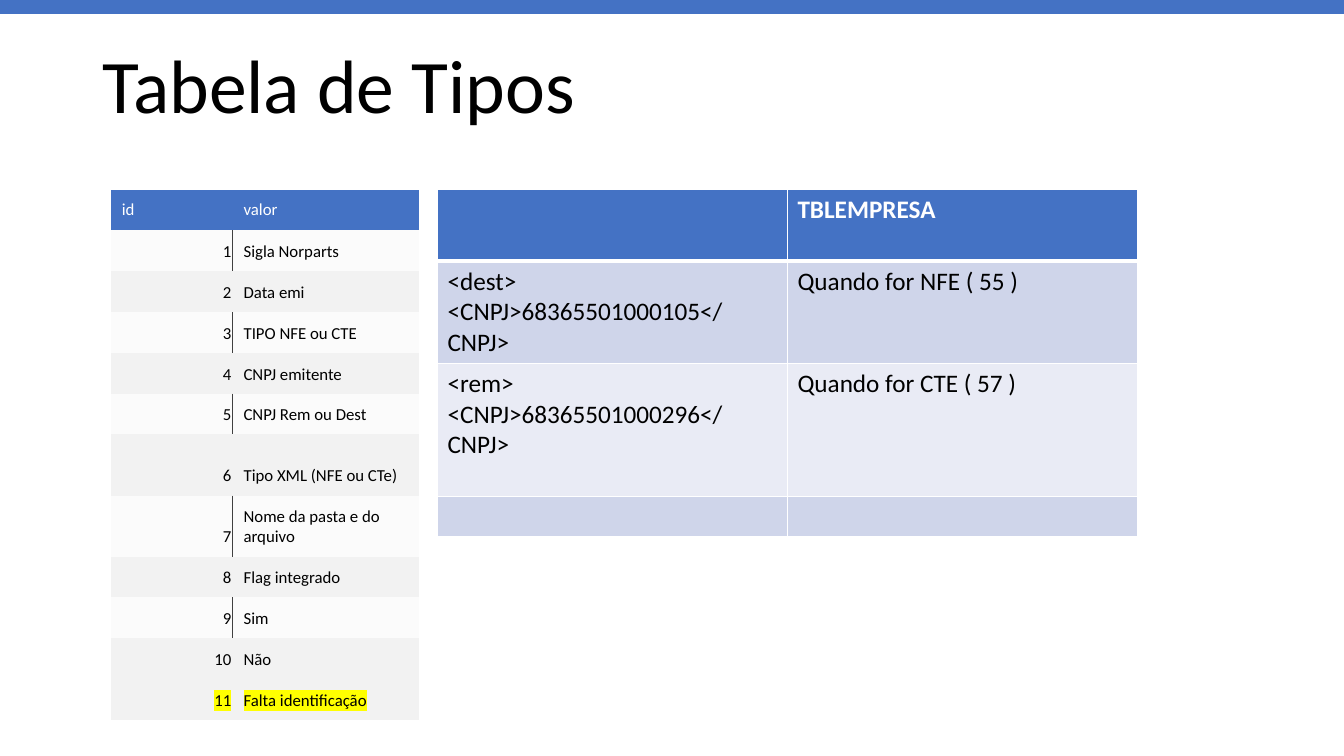
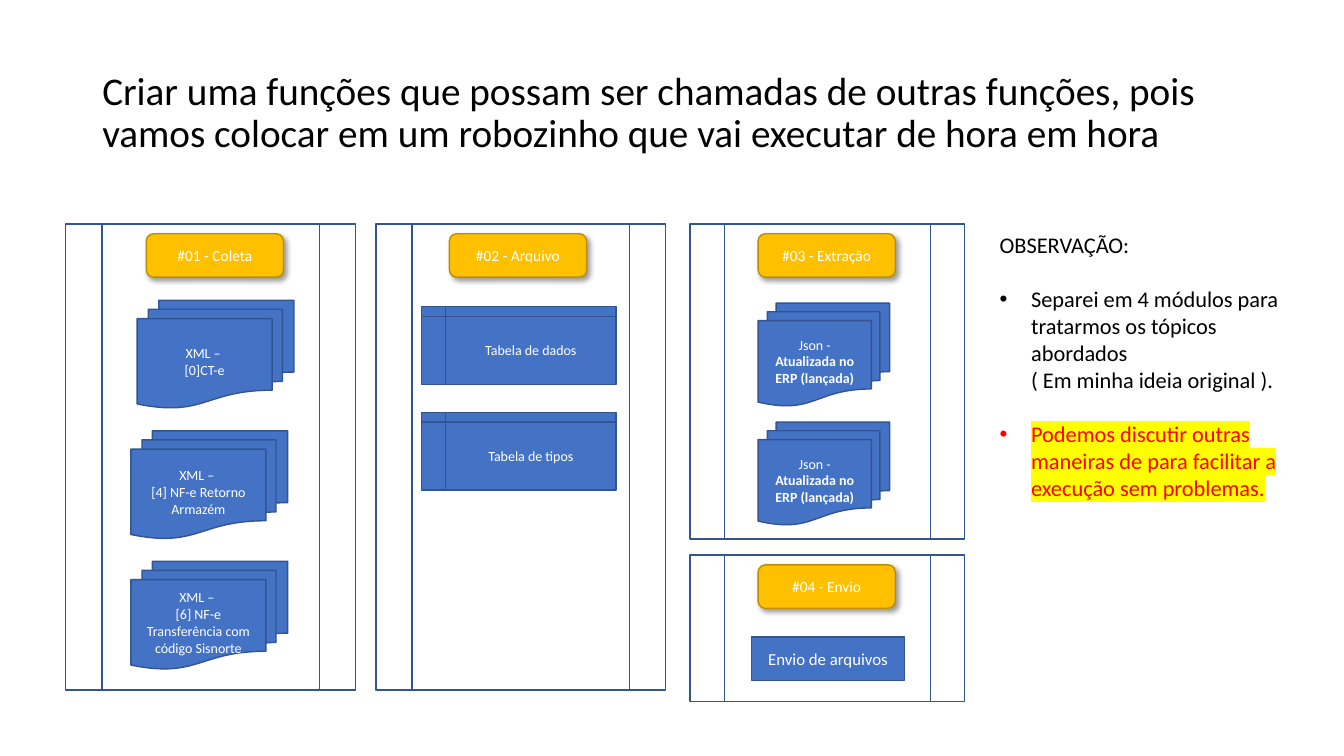
"""Build the type table and the module flow slides."""
from dataclasses import dataclass
from typing import Any, Optional

from lxml import etree
from pptx import Presentation
from pptx import util as u
from pptx.dml.color import RGBColor
from pptx.enum import shapes, text
from pptx.oxml.ns import qn

FONT = "Calibri"
BLUE = RGBColor(0x44, 0x72, 0xC4)
NAVY = RGBColor(0x32, 0x54, 0x91)
GOLD = RGBColor(0xFF, 0xC0, 0x00)
BRONZE = RGBColor(0xBD, 0x8E, 0x00)
WHITE = RGBColor(0xFF, 0xFF, 0xFF)
BLACK = RGBColor(0, 0, 0)
RED = RGBColor(0xFF, 0, 0)
YELLOW = RGBColor(0xFF, 0xFF, 0)
GRAY = RGBColor(0x40, 0x40, 0x40)
BANDS = (RGBColor(0xF2, 0xF2, 0xF2), RGBColor(0xFB, 0xFB, 0xFB))
TINTS = (RGBColor(0xE9, 0xEB, 0xF5), RGBColor(0xCF, 0xD5, 0xEA))
NO_STYLE = "{2D5ABB26-0587-4C30-8999-92F81FD0307C}"

MSO = shapes.MSO_SHAPE
ALIGN = text.PP_ALIGN
ANCHOR = text.MSO_ANCHOR
Rect = tuple[float, float, float, float]


@dataclass(frozen=True)
class Module:
    title: str
    rect: Rect
    badge_left: float


@dataclass(frozen=True)
class Step:
    kind: Any
    rect: Rect
    lines: tuple[str, ...]
    bold_tail: str = ""
    size: float = 10


TYPES = ("Sigla Norparts", "Data emi", "TIPO NFE ou CTE", "CNPJ emitente",
         "CNPJ Rem ou Dest", "Tipo XML (NFE ou CTe)",
         "Nome da pasta e do arquivo", "Flag integrado", "Sim", "Não",
         "Falta identificação")
TALL_ROWS = (6, 7)

COMPANY_ROWS = (
    (("",), ("TBLEMPRESA",)),
    (("<dest>", "<CNPJ>68365501000105</CNPJ>"), ("Quando for NFE ( 55 )",)),
    (("<rem>", "<CNPJ>68365501000296</CNPJ>"), ("Quando for CTE ( 57 )",)),
    (("",), ("",)),
)
COMPANY_HEIGHTS = (51, 73, 95, 29)

MODULES = (
    Module("#01 - Coleta", (47, 160, 207, 333), 104.5),
    Module("#02 - Arquivo", (268.5, 160, 207, 333), 321),
    Module("#03 - Extração", (493, 160, 196, 225), 541.5),
    Module("#04 - Envio", (493, 396.5, 196, 104.5), 541.5),
)
DOCS, STORE = MSO.FLOWCHART_MULTIDOCUMENT, MSO.FLOWCHART_INTERNAL_STORAGE
XML_DOCS = (
    (98, ("XML – ", "[0]CT-e")),
    (93.5, ("XML – ", "[4] NF-e Retorno Armazém")),
    (93.5, ("XML – ", "[6] NF-e Transferência com código Sisnorte")),
)
STEPS = (
    *(Step(DOCS, (x, 214.5 + 93.25 * i, 112, 77), lines)
      for i, (x, lines) in enumerate(XML_DOCS)),
    *(Step(STORE, (301, 219 + 75.5 * i, 139, 55.5), (name,))
      for i, name in enumerate(("Tabela de dados", "Tabela de tipos"))),
    *(Step(DOCS, (541.5, 216.5 + 85 * i, 94, 73.5), ("Json - ",),
           "Atualizada no ERP (lançada)") for i in range(2)),
    Step(MSO.FLOWCHART_PROCESS, (537, 455, 109, 31), ("Envio de arquivos",), size=12),
)


def pts(rect: Rect) -> list[u.Length]:
    return [u.Pt(v) for v in rect]


def sub(parent: Any, tag: str, **attrs: Any) -> Any:
    return etree.SubElement(parent, qn(tag), {k: str(v) for k, v in attrs.items()})


def write(p: Any, words: str, *, size: float = 12, color: RGBColor = BLACK,
          bold: bool = False, highlight: Optional[RGBColor] = None,
          align: Any = None) -> None:
    if align is not None:
        p.alignment = align
    for i, line in enumerate(words.split("\n")):
        if i:
            p.add_line_break()
        r = p.add_run()
        r.text = line
        r.font.size, r.font.bold = u.Pt(size), bold
        r.font.color.rgb = color
        if highlight is not None:
            mark = etree.Element(qn("a:highlight"))
            sub(mark, "a:srgbClr", val=highlight)
            r.font._element.find(qn("a:solidFill")).addnext(mark)
        r.font.name = FONT


def write_lines(tf: Any, lines: tuple[str, ...], **fmt: Any) -> None:
    for i, line in enumerate(lines):
        write(tf.add_paragraph() if i else tf.paragraphs[0], line, **fmt)


def add_box(s: Any, rect: Rect, anchor: Any = ANCHOR.TOP) -> Any:
    tf = s.shapes.add_textbox(*pts(rect)).text_frame
    tf.word_wrap, tf.vertical_anchor = True, anchor
    return tf


def add_title(s: Any, words: str, rect: Rect, size: float, anchor: Any) -> None:
    p = add_box(s, rect, anchor).paragraphs[0]
    p.line_spacing = 0.9
    write(p, words, size=size)


def add_shape(s: Any, kind: Any, rect: Rect, fill: Optional[RGBColor],
              line: Optional[RGBColor]) -> Any:
    sp = s.shapes.add_shape(kind, *pts(rect))
    sp.shadow.inherit = False
    if fill is None:
        sp.fill.background()
    else:
        sp.fill.solid()
        sp.fill.fore_color.rgb = fill
    if line is None:
        sp.line.fill.background()
    else:
        sp.line.color.rgb, sp.line.width = line, u.Pt(1)
    sp.text_frame.word_wrap = True
    sp.text_frame.vertical_anchor = ANCHOR.MIDDLE
    return sp


def add_shadow(sp: Any) -> None:
    effects = sp._element.spPr.find(qn("a:effectLst"))
    shadow = sub(effects, "a:outerShdw", blurRad=u.Pt(4), dist=u.Pt(3),
                 dir=45 * 60000, algn="tl", rotWithShape=0)
    sub(sub(shadow, "a:srgbClr", val=BLACK), "a:alpha", val=40000)


def add_module(s: Any, module: Module) -> None:
    add_shape(s, MSO.FLOWCHART_PREDEFINED_PROCESS, module.rect, None, NAVY)
    badge = add_shape(s, MSO.ROUNDED_RECTANGLE,
                      (module.badge_left, module.rect[1] + 7, 98, 31), GOLD, BRONZE)
    add_shadow(badge)
    write(badge.text_frame.paragraphs[0], module.title, size=11, color=WHITE,
          align=ALIGN.CENTER)


def add_step(s: Any, step: Step) -> None:
    tf = add_shape(s, step.kind, step.rect, BLUE, NAVY).text_frame
    write_lines(tf, step.lines, size=step.size, color=WHITE, align=ALIGN.CENTER)
    if step.bold_tail:
        write(tf.paragraphs[-1], step.bold_tail, size=step.size, color=WHITE, bold=True)


def add_table(s: Any, left: float, top: float, widths: tuple[float, ...],
              heights: tuple[float, ...]) -> Any:
    rect = (left, top, sum(widths), sum(heights))
    table = s.shapes.add_table(len(heights), len(widths), *pts(rect)).table
    table._tbl.tblPr.find(qn("a:tableStyleId")).text = NO_STYLE
    for column, width in zip(table.columns, widths):
        column.width = u.Pt(width)
    for row, height in zip(table.rows, heights):
        row.height = u.Pt(height)
    return table


def style_cell(cell: Any, fill: RGBColor, color: RGBColor, **borders: float) -> None:
    tc_pr = cell._tc.get_or_add_tcPr()
    for side in "LRTB":
        if side in borders:
            ln = sub(tc_pr, f"a:ln{side}", w=u.Pt(borders[side]))
            sub(sub(ln, "a:solidFill"), "a:srgbClr", val=color)
    cell.fill.solid()
    cell.fill.fore_color.rgb = fill


def add_types_table(s: Any) -> None:
    rows = [("id", "valor"), *((str(i), name) for i, name in enumerate(TYPES, 1))]
    heights = tuple(43.6 if i in TALL_ROWS else 29.15 for i in range(len(rows)))
    table = add_table(s, 79, 135.5, (87, 133.5), heights)
    for i, row in enumerate(rows):
        for j, words in enumerate(row):
            cell = table.cell(i, j)
            cell.margin_left, cell.margin_right = u.Pt(8), u.Pt(0.7)
            cell.margin_top = cell.margin_bottom = u.Pt(6.5)
            cell.vertical_anchor = ANCHOR.BOTTOM if i else ANCHOR.MIDDLE
            divided = i % 2 and i < len(TYPES)
            style_cell(cell, BANDS[1 if divided else 0] if i else BLUE, GRAY,
                       **({"L" if j else "R": 0.5} if divided else {}))
            write(cell.text_frame.paragraphs[0], words,
                  color=BLACK if i else WHITE,
                  highlight=YELLOW if i == len(TYPES) else None,
                  align=ALIGN.RIGHT if i and not j else ALIGN.LEFT)


def add_company_table(s: Any) -> None:
    table = add_table(s, 312.5, 135.5, (250, 250), COMPANY_HEIGHTS)
    for i, row in enumerate(COMPANY_ROWS):
        for j, lines in enumerate(row):
            cell = table.cell(i, j)
            style_cell(cell, TINTS[i % 2] if i else BLUE, WHITE, L=1, R=1,
                       T=3 if i == 1 else 1, B=1 if i else 3)
            if any(lines):
                write_lines(cell.text_frame, lines, size=18, bold=not i,
                            color=BLACK if i else WHITE)


def add_notice(s: Any) -> None:
    tf = add_box(s, (707, 161.5, 221, 220))
    write(tf.paragraphs[0], "OBSERVAÇÃO:", size=16)
    tf.paragraphs[0].space_after = u.Pt(19.5)
    bullets = (
        ("Separei em 4 módulos para tratarmos os tópicos abordados \n"
         "( Em minha ideia original ).", BLACK, None),
        ("Podemos discutir outras maneiras de para facilitar a execução sem problemas.",
         RED, YELLOW),
    )
    for words, color, highlight in bullets:
        p = tf.add_paragraph()
        p.space_after = u.Pt(19.5)
        p_pr = p._p.get_or_add_pPr()
        p_pr.set("marL", str(u.Pt(22.5)))
        p_pr.set("indent", str(-u.Pt(22.5)))
        sub(p_pr, "a:buFont", typeface="Arial")
        sub(p_pr, "a:buChar", char="•")
        write(p, words, size=16, color=color, highlight=highlight)


def build_types(s: Any) -> None:
    add_title(s, "Tabela de Tipos", (66, 23, 828, 73.5), 54, ANCHOR.BOTTOM)
    add_shape(s, MSO.RECTANGLE, (0, 0, 960, 10), BLUE, None)
    add_types_table(s)
    add_company_table(s)


def build_modules(s: Any) -> None:
    add_title(s, "Criar uma funções que possam ser chamadas de outras funções, pois "
              "vamos colocar em um robozinho que vai executar de hora em hora",
              (66, 29, 828, 104.5), 28, ANCHOR.MIDDLE)
    add_notice(s)
    for module in MODULES:
        add_module(s, module)
    for step in STEPS:
        add_step(s, step)


def main() -> None:
    prs = Presentation()
    prs.slide_width, prs.slide_height = u.Pt(960), u.Pt(540)
    for build in (build_types, build_modules):
        build(prs.slides.add_slide(prs.slide_layouts[6]))
    prs.save("out.pptx")


if __name__ == "__main__":
    main()
